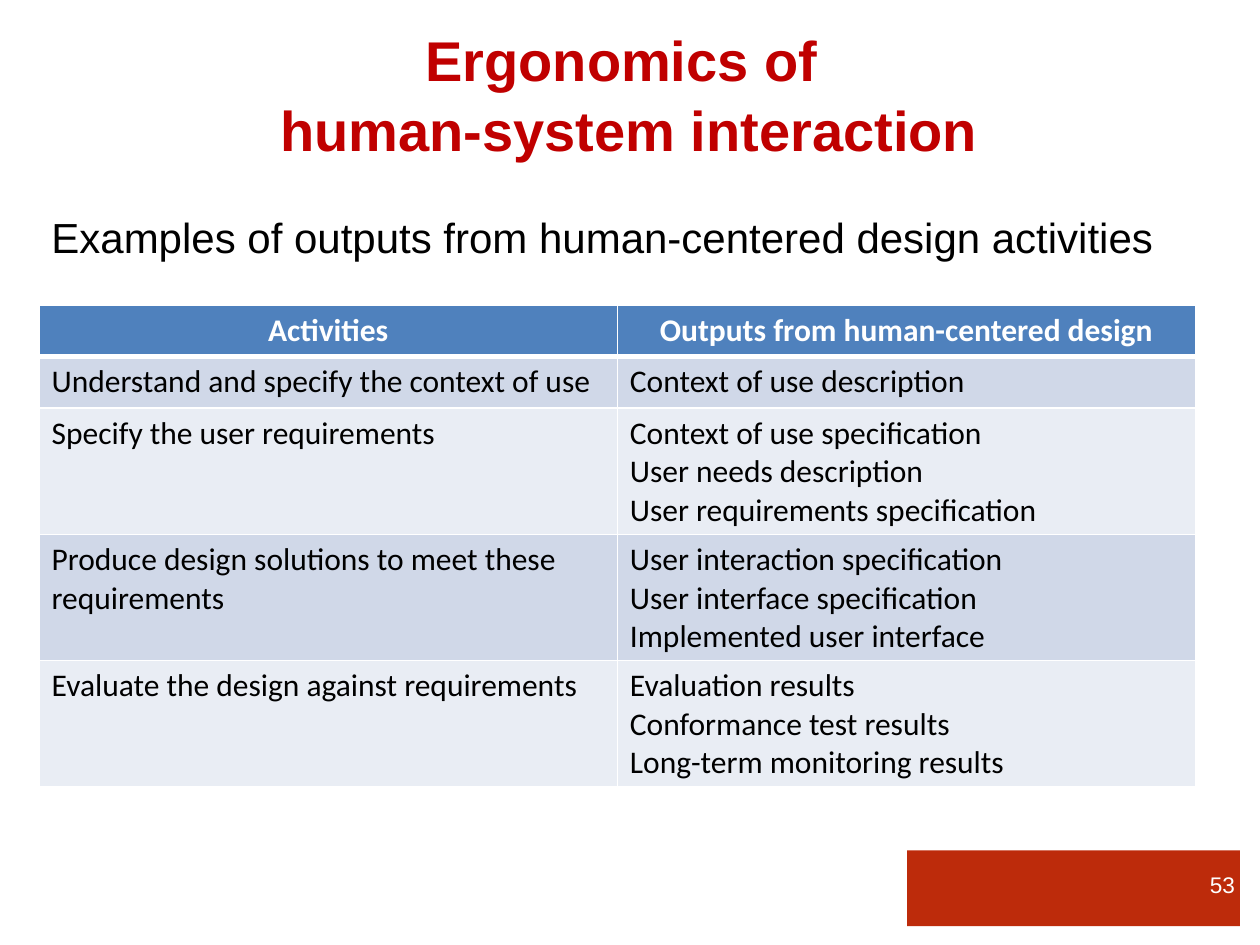
from lxml import etree
from pptx import Presentation
from pptx import util as u
from pptx.dml.color import RGBColor
from pptx.enum import shapes, text
from pptx.oxml.ns import qn


def hue(code):
    return RGBColor.from_string(code)


def write(frame, lines, align, color, **form):
    frame.text = "\n".join(lines)
    for para in frame.paragraphs:
        para.alignment = align
        for run in para.runs:
            run.font.color.rgb = hue(color)
            for key, value in form.items():
                setattr(run.font, key, value)


LEFT, MID, RIGHT = (text.PP_ALIGN.LEFT, text.PP_ALIGN.CENTER, text.PP_ALIGN.RIGHT)

deck = Presentation()
deck.slide_width, deck.slide_height = u.Inches(10), u.Inches(7.5)
slide = deck.slides.add_slide(deck.slide_layouts[6])

bar = slide.shapes.add_shape(
    shapes.MSO_SHAPE.RECTANGLE,
    u.Inches(7.2), u.Inches(6.75), u.Inches(2.64), u.Inches(0.6))
bar.shadow.inherit = False
bar.fill.solid()
bar.fill.fore_color.rgb = hue("BD2B0B")
bar.line.fill.background()

labels = [
    ((8.13, 6.87, 1.77, 0.3), ["53"], RIGHT, "FFFFFF", 12.9, False),
    ((0.31, 1.63, 9.38, 0.5),
     ["Examples of outputs from human-centered design activities"],
     LEFT, "000000", 24, False),
    ((0.69, 0.34, 8.61, 0.79), ["Ergonomics of \vhuman-system interaction"],
     MID, "C00000", 32, True),
]
for spot, lines, align, color, size, bold in labels:
    box = slide.shapes.add_textbox(*map(u.Inches, spot))
    frame = box.text_frame
    frame.word_wrap = True
    frame.vertical_anchor = text.MSO_ANCHOR.MIDDLE
    write(frame, lines, align, color, name="Arial", size=u.Pt(size), bold=bold)
    if bold:
        frame.paragraphs[0].line_spacing = 1.05
        sides = {"margin_left": 0, "margin_right": 0, "margin_top": 0, "margin_bottom": 0}
        for key, value in sides.items():
            setattr(frame, key, value)

rows = [
    (["Activities"], ["Outputs from human-centered design"]),
    (["Understand and specify the context of use"], ["Context of use description"]),
    (["Specify the user requirements"],
     ["Context of use specification", "User needs description",
      "User requirements specification"]),
    (["Produce design solutions to meet these requirements"],
     ["User interaction specification", "User interface specification",
      "Implemented user interface"]),
    (["Evaluate the design against requirements"],
     ["Evaluation results", "Conformance test results",
      "Long-term monitoring results"]),
]
table = slide.shapes.add_table(
    len(rows), 2, u.Inches(0.31), u.Inches(2.42), u.Inches(9.18), u.Inches(3.81)).table
for col in table.columns:
    col.width = u.Inches(4.59)
for i, row in enumerate(rows):
    head = i == 0
    table.rows[i].height = u.Inches(0.41 if len(row[1]) == 1 else 1)
    tint = "4F81BD" if head else ("E9EDF4", "D0D8E8")[i % 2]
    for j, lines in enumerate(row):
        cell = table.cell(i, j)
        write(cell.text_frame, lines, MID if head else LEFT,
              "FFFFFF" if head else "000000",
              name="Calibri", size=u.Pt(18), bold=head)
        props = cell._tc.get_or_add_tcPr()
        for side in "LRTB":
            thick = (i, side) in ((0, "B"), (1, "T"))
            edge = etree.SubElement(props, qn("a:ln" + side), w=str(u.Pt(3 if thick else 1)))
            paint = etree.SubElement(edge, qn("a:solidFill"))
            etree.SubElement(paint, qn("a:srgbClr"), val="FFFFFF")
        cell.fill.solid()
        cell.fill.fore_color.rgb = hue(tint)

deck.save("out.pptx")
